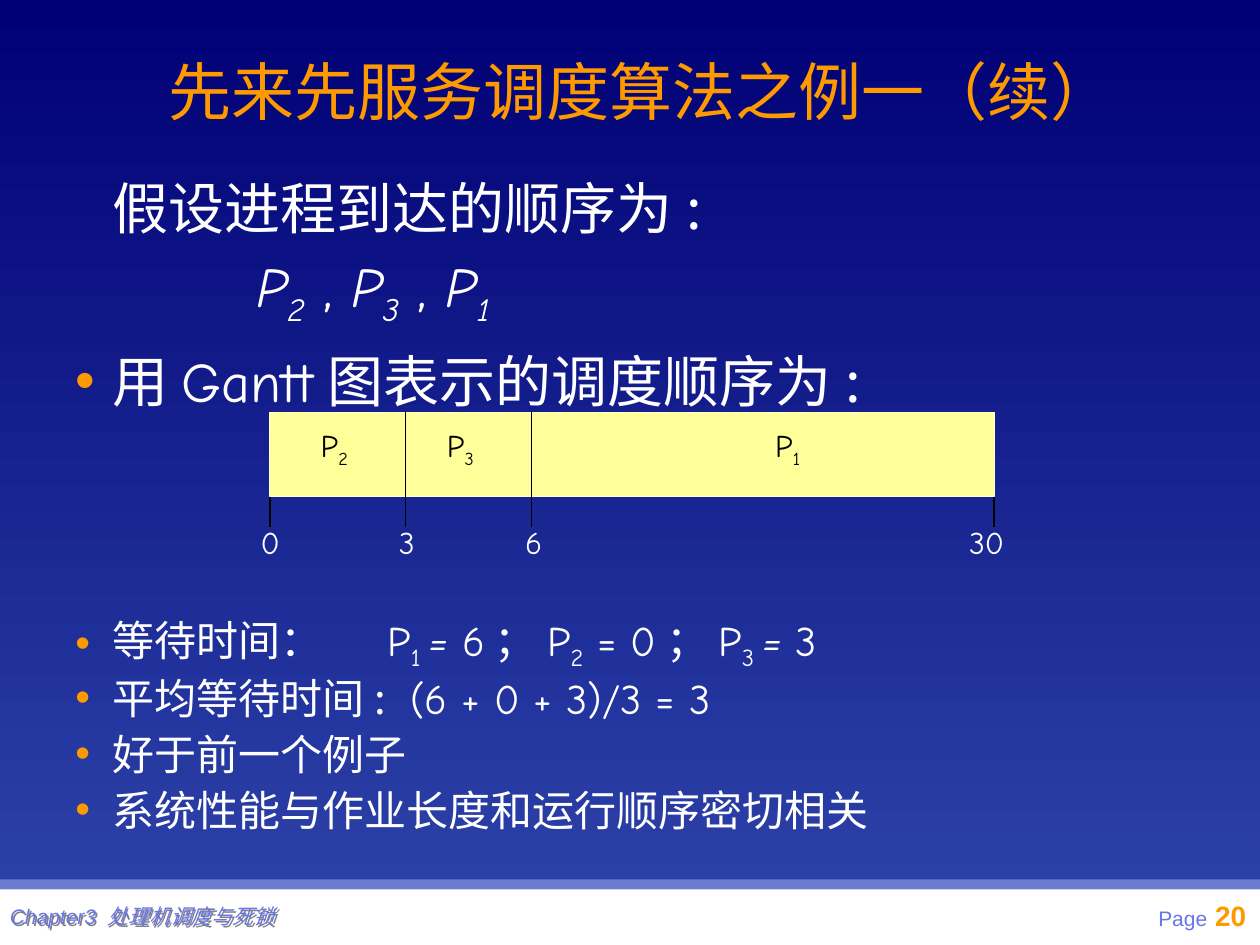
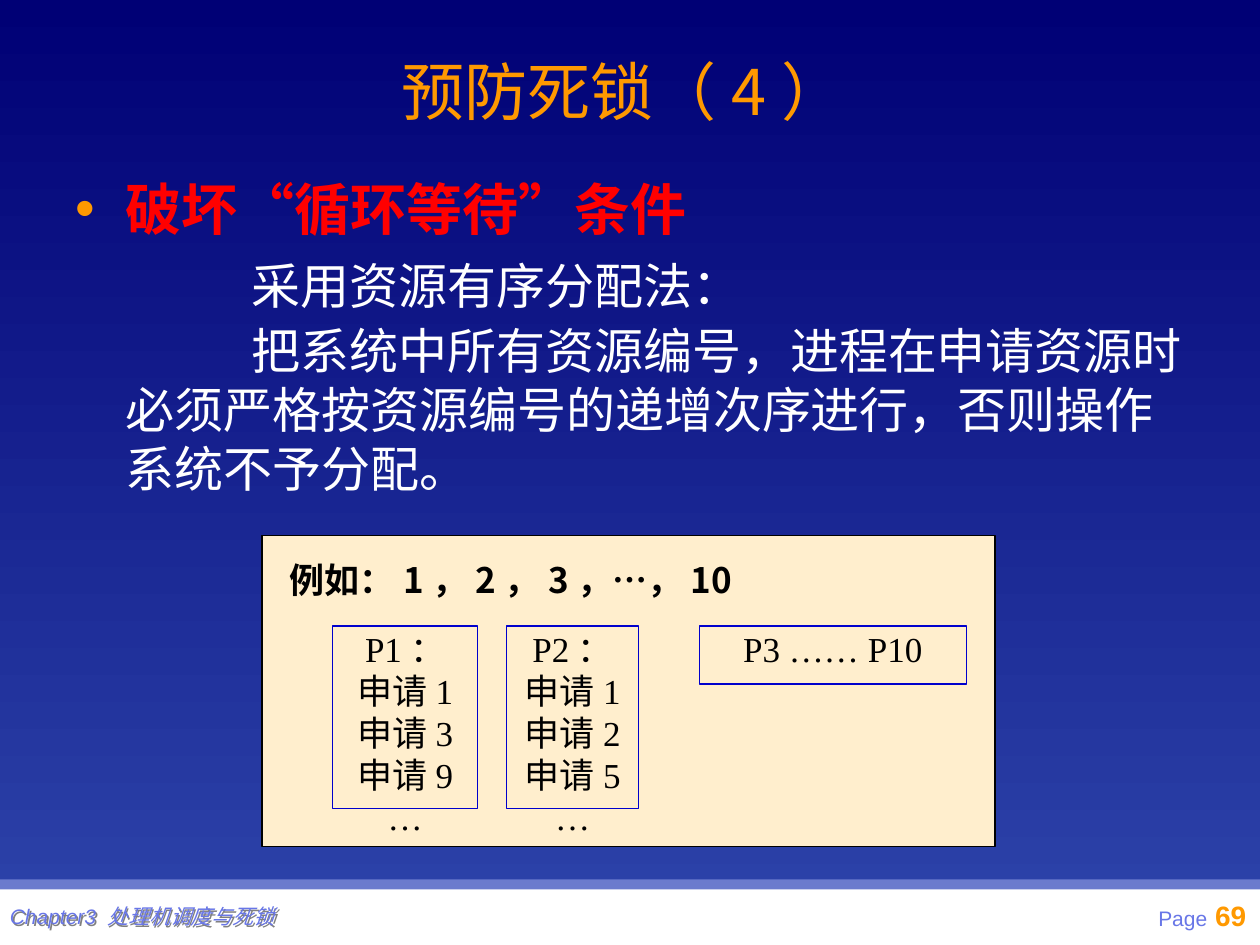
import pptx
import pptx.dml.color
import pptx.enum.shapes
import pptx.enum.text
import pptx.oxml.ns
import pptx.util
from lxml import etree
from pptx.util import Cm

COLORS = {
    "night": "000075", "royal": "2E45AB", "band": "6B7BCD", "footer": "6876E7",
    "orange": "FF9900", "white": "FFFFFF", "black": "000000", "red": "FF0000",
    "bar": "FFFF99", "bar edge": "FFFFCC", "panel": "FFEECD", "blue": "0000CC",
    "shadow": "808080",
}
COLORS = {name: pptx.dml.color.RGBColor.from_string(value) for name, value in COLORS.items()}
FONTS = {"noto": "Noto Sans CJK SC", "comic": "Comic Neue", "arial": "Arial",
         "times": "Times New Roman"}
ALIGN = pptx.enum.text.PP_ALIGN
MIDDLE = pptx.enum.text.MSO_ANCHOR.MIDDLE
STRAIGHT = pptx.enum.shapes.MSO_CONNECTOR.STRAIGHT
qn = pptx.oxml.ns.qn


def add_box(slide, left, top, width, height, fill=None, line=None, inset=None):
    """Add a rectangle in centimetres, or a text box if it has no fill and no line."""
    place = Cm(left), Cm(top), Cm(width), Cm(height)
    if fill or line:
        shape = slide.shapes.add_shape(pptx.enum.shapes.MSO_SHAPE.RECTANGLE, *place)
        shape.shadow.inherit = False
        for part, color in ((shape.fill, fill), (shape.line.fill, line)):
            if color:
                part.solid()
                part.fore_color.rgb = COLORS[color]
            else:
                part.background()
        if line:
            shape.line.width = pptx.util.Pt(0.75)
    else:
        shape = slide.shapes.add_textbox(*place)
    frame = shape.text_frame
    frame.word_wrap = True
    frame.vertical_anchor = pptx.enum.text.MSO_ANCHOR.TOP
    if inset is not None:
        frame.margin_left = frame.margin_right = Cm(inset)
        frame.margin_top = frame.margin_bottom = Cm(inset)
    return shape


def write(frame, lines, size, color, font="noto", bold=False, italic=False, align=ALIGN.LEFT,
          spacing=None, after=0, left=0, indent=0, bullet=False, tab=None):
    """Append paragraphs; a line is a string or a list of (text, style words) runs.

    Style words are "sub", "italic", "upright" or a key of FONTS.
    """
    for line in lines:
        paragraph = frame.paragraphs[0] if not frame.text else frame.add_paragraph()
        paragraph.alignment = align
        paragraph.space_before = pptx.util.Pt(0)
        paragraph.space_after = pptx.util.Pt(after)
        if spacing:
            paragraph.line_spacing = pptx.util.Pt(spacing)
        properties = paragraph._p.get_or_add_pPr()
        properties.set("marL", str(Cm(left)))
        properties.set("indent", str(Cm(indent)))
        if bullet:
            bullet_color = etree.SubElement(properties, qn("a:buClr"))
            etree.SubElement(bullet_color, qn("a:srgbClr"), val=str(COLORS["orange"]))
            etree.SubElement(properties, qn("a:buFont"), typeface=FONTS["arial"])
            etree.SubElement(properties, qn("a:buChar"), char="•")
        if tab:
            tabs = etree.SubElement(properties, qn("a:tabLst"))
            etree.SubElement(tabs, qn("a:tab"), pos=str(Cm(tab)), algn="l")
        paragraph.font.size = pptx.util.Pt(size)
        paragraph.font.bold = bold
        paragraph.font.italic = italic
        paragraph.font.color.rgb = COLORS[color]
        paragraph.font.name = FONTS[font]
        etree.SubElement(properties.find(qn("a:defRPr")), qn("a:ea"), typeface=FONTS["noto"])
        for text, style in [(line, "")] if isinstance(line, str) else line:
            run = paragraph.add_run()
            run.text = text
            for word in style.split():
                if word == "sub":
                    run._r.get_or_add_rPr().set("baseline", "-25000")
                elif word in FONTS:
                    run.font.name = FONTS[word]
                else:
                    run.font.italic = word == "italic"


presentation = pptx.Presentation()
presentation.slide_width, presentation.slide_height = Cm(25.4), Cm(19.05)
background = presentation.slide_master.background.fill
background.gradient()
background.gradient_angle = 270
for stop, color in zip(background.gradient_stops, ("night", "royal")):
    stop.color.rgb = COLORS[color]

# Titles, bands and footers
slides = []
for title, title_width, number in (("先来先服务调度算法之例一（续）", 23.29, "20"),
                                   ("预防死锁（4）", 22.58, "69")):
    slide = presentation.slides.add_slide(presentation.slide_layouts[5])
    slides.append(slide)
    add_box(slide, 0, 17.88, 25.4, 1.17, fill="white")
    add_box(slide, 0, 17.73, 25.4, 0.2, fill="band")

    page = add_box(slide, 16.05, 17.98, 9.32, 1.02)
    write(page.text_frame, [[("Page", ""), (" ", ""), (number, "")]], 12, "footer", "arial",
          align=ALIGN.RIGHT)
    for run in page.text_frame.paragraphs[0].runs[1:]:
        run.font.size = pptx.util.Pt(16)
        run.font.color.rgb = COLORS["orange"]
    run.font.bold = True

    chapter = add_box(slide, 0.2, 18.21, 6.55, 0.51, inset=0)
    write(chapter.text_frame, [[("Chapter3 ", ""), ("处理机调度与死锁", "comic")]], 12, "footer",
          "arial", italic=True)
    effects = etree.SubElement(chapter._element.spPr, qn("a:effectLst"))
    shadow = etree.SubElement(effects, qn("a:outerShdw"), dist="18000", dir="2700000")
    etree.SubElement(shadow, qn("a:srgbClr"), val=str(COLORS["shadow"]))

    heading = slide.shapes.title
    heading.left, heading.top = Cm(1.27), Cm(0.52)
    heading.width, heading.height = Cm(title_width), Cm(2.62)
    heading.text_frame.vertical_anchor = MIDDLE
    write(heading.text_frame, [title], 36, "orange", align=ALIGN.CENTER, spacing=43.2)

fcfs_slide, deadlock_slide = slides

# First come, first served: arrival order
body = add_box(fcfs_slide, 1.27, 3.38, 22.86, 14.17).text_frame
body_style = dict(size=32, color="white", spacing=38.4, after=11)
write(body, ["假设进程到达的顺序为:"], left=0.74, **body_style)
write(body, [[("P", ""), ("2", "sub"), (" , ", "upright"), ("P", ""), ("3", "sub"),
              (" , ", "upright"), ("P", ""), ("1", "sub")]],
      font="comic", italic=True, left=3.65, **body_style)
write(body, [[("用", ""), ("Gantt", "comic"), ("图表示的调度顺序为:", "")]],
      left=0.74, indent=-0.74, bullet=True, **body_style)

# Gantt chart
BAR_TOP, BAR_BOTTOM, TICK_BOTTOM = 8.31, 10.01, 10.62
add_box(fcfs_slide, 5.44, BAR_TOP, 14.61, BAR_BOTTOM - BAR_TOP, fill="bar", line="bar edge")
for x, tick_top in ((5.44, BAR_BOTTOM), (8.18, BAR_TOP), (10.72, BAR_TOP), (20.04, BAR_BOTTOM)):
    tick = fcfs_slide.shapes.add_connector(STRAIGHT, Cm(x), Cm(tick_top), Cm(x), Cm(TICK_BOTTOM))
    tick.line.color.rgb = COLORS["black"]
    tick.line.width = pptx.util.Pt(0.75)
    etree.SubElement(tick._element.spPr, qn("a:effectLst"))

process_labels = [(center, 8.46, 1.12, "black", [("P", ""), (process, "sub")])
                  for center, process in ((6.74, "2"), (9.28, "3"), (15.88, "1"))]
time_labels = [(center, 10.41, 1.02, "white", time)
               for center, time in ((5.45, "0"), (8.2, "3"), (10.76, "6"), (19.89, "30"))]
LABEL_WIDTH = 2
for center, top, height, color, text in process_labels + time_labels:
    label = add_box(fcfs_slide, center - LABEL_WIDTH / 2, top, LABEL_WIDTH, height).text_frame
    label.vertical_anchor = MIDDLE
    write(label, [text], 18, color, "comic", align=ALIGN.CENTER)

# Waiting times
waiting = add_box(fcfs_slide, 1.27, 12.5, 22.86, 5.08).text_frame
waiting_style = dict(size=24, color="white", spacing=26, left=0.74, indent=-0.74, bullet=True)
write(waiting, [[("等待时间：", "noto"), ("\tP", ""), ("1 ", "sub"), ("=", "italic"),
                 (" 6；P", ""), ("2", "sub"), (" = 0；P", ""), ("3 ", "sub"),
                 ("= ", "italic"), ("3", "")]], font="comic", tab=6.29, after=3, **waiting_style)
write(waiting, [[("平均等待时间:", "noto"), ("\t(6 + 0 + 3)/3 = 3", "")]],
      font="comic", tab=6.75, after=6, **waiting_style)
write(waiting, ["好于前一个例子", "系统性能与作业长度和运行顺序密切相关"], after=6, **waiting_style)

# Breaking the circular wait
body = add_box(deadlock_slide, 1.27, 3.4, 22.86, 6.86).text_frame
write(body, [[("破坏", ""), ("“", "arial"), ("循环等待", ""), ("”", "arial"), ("条件", "")]],
      32, "red", bold=True, spacing=38.4, after=8, left=1.02, indent=-1.02, bullet=True)
write(body, ["采用资源有序分配法：",
             "把系统中所有资源编号，进程在申请资源时必须严格按资源编号的递增次序进行，否则操作系统不予分配。"],
      28, "white", spacing=33.6, after=3.5, left=1.02, indent=2.54)

# Ordered requests
add_box(deadlock_slide, 5.28, 10.8, 14.78, 6.27, fill="panel", line="black")
example = add_box(deadlock_slide, 5.59, 11.13, 11.94, 0.86).text_frame
write(example, [[("例如：1，2，3，", ""), ("…", "arial"), ("，10", "")]], 20, "black", bold=True,
      spacing=24)
for left, width, height, lines in (
        (6.71, 2.92, 3.68, ["P1：", "申请1", "申请3", "申请9", "…"]),
        (10.21, 2.67, 3.68, ["P2：", "申请1", "申请2", "申请5", "…"]),
        (14.1, 5.38, 1.17, ["P3 …… P10"])):
    requests = add_box(deadlock_slide, left, 12.62, width, height, line="blue", inset=0.03)
    write(requests.text_frame, lines, 20, "black", "times", align=ALIGN.CENTER, spacing=24)

presentation.save("out.pptx")
